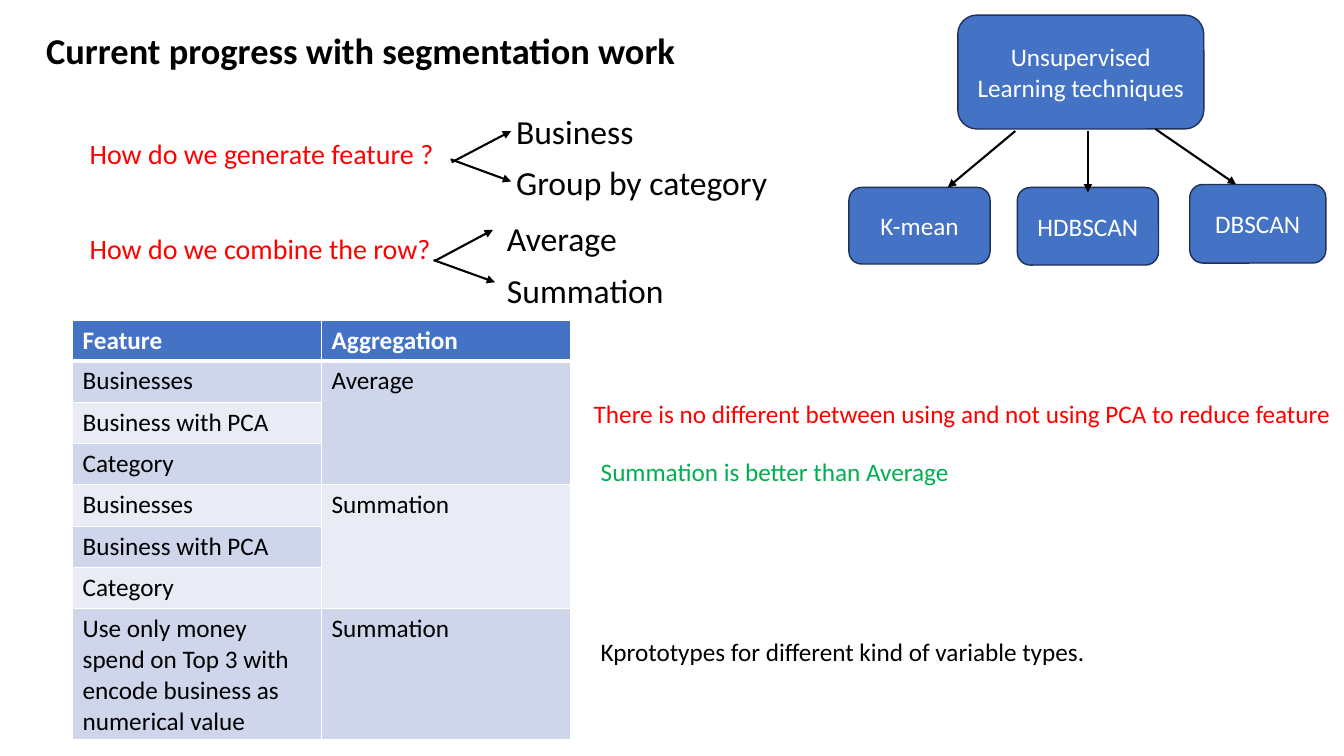
from pptx import Presentation
from pptx import util as u
from pptx.dml.color import RGBColor
from pptx.enum import shapes, text
from pptx.oxml import parse_xml
from pptx.oxml.ns import nsdecls

# Content: lengths in px, 100 px to the inch
SIZE = (1333, 750)
TITLE = ("Current progress with segmentation work", (36, 14, 1113, 77))
NOTES = [  # wording, box, size name, colour name
    ("How do we generate feature ?", (79, 131, 387, 44), "ask", "red"),
    ("How do we combine the row?", (79, 225, 387, 44), "ask", "red"),
    ("Business", (502, 105, 152, 50), "reply", "black"),
    ("Group by category", (502, 156, 325, 50), "reply", "black"),
    ("Average", (493, 211, 152, 50), "reply", "black"),
    ("Summation", (493, 263, 325, 50), "reply", "black"),
    ("There is no different between using and not using PCA to reduce feature",
     (579, 390, 758, 40), "body", "red"),
    ("Summation is better than Average", (586, 448, 423, 71), "body", "green"),
    ("Kprototypes for different kind of variable types.",
     (586, 626, 682, 40), "body", "black"),
]
NODES = [
    ("Unsupervised Learning techniques", (950, 15, 244, 113)),
    ("K-mean", (842, 186, 140, 76)),
    ("HDBSCAN", (1009, 186, 140, 77)),
    ("DBSCAN", (1180, 183, 135, 78)),
]
ARROWS = [  # from x, y to x, y
    (448, 161, 507, 130), (447, 158, 507, 180),
    (431, 259, 489, 228), (430, 258, 491, 280),
    (1007, 130, 940, 186), (1079, 130, 1079, 191), (1146, 128, 1226, 183),
]
HEADS = ("Feature", "Aggregation")
INPUTS = ("Businesses", "Business with PCA", "Category")
GROUPS = [
    (INPUTS, "Average"),
    (INPUTS, "Summation"),
    (("Use only money spend on Top 3 with encode business as numerical value",),
     "Summation"),
]
GRID = {"left": 72, "top": 318, "col": 247, "head": 40, "row": 41, "last": 128}

THEME = {
    "font": "Calibri",
    "title": 26, "ask": 20, "reply": 24, "body": 18,
    "black": "000000", "white": "FFFFFF", "red": "FF0000", "green": "00B050",
    "blue": "4472C4", "edge": "1E3256", "bands": ("CFD5EA", "E9EBF5"),
}


def px(n):
    return u.Emu(n * 9144)


def box(area):
    return [px(n) for n in area]


def color(name):
    return RGBColor.from_string(THEME.get(name, name))


def write(frame, words, size, tint, bold=False):
    frame.text = words
    for run in frame.paragraphs[0].runs:
        font = run.font
        font.name, font.size, font.bold = THEME["font"], u.Pt(THEME[size]), bold
        font.color.rgb = color(tint)


def label(words, area, size, tint, bold=False):
    frame = slide.shapes.add_textbox(*box(area)).text_frame
    frame.word_wrap = True
    write(frame, words, size, tint, bold)
    return frame


def node(words, area):
    shape = slide.shapes.add_shape(
        shapes.MSO_SHAPE.ROUNDED_RECTANGLE, *box(area))
    shape.shadow.inherit = False
    shape.fill.solid()
    shape.fill.fore_color.rgb = color("blue")
    shape.line.color.rgb = color("edge")
    shape.line.width = u.Pt(1)
    frame = shape.text_frame
    frame.word_wrap = True
    frame.vertical_anchor = text.MSO_ANCHOR.MIDDLE
    write(frame, words, "body", "white")
    frame.paragraphs[0].alignment = text.PP_ALIGN.CENTER


def arrow(ends):
    wire = slide.shapes.add_connector(shapes.MSO_CONNECTOR.STRAIGHT, *box(ends))
    wire.line.color.rgb = color("black")
    wire.line.width = u.Pt(1.5)
    wire.line._get_or_add_ln().append(
        parse_xml(f'<a:tailEnd {nsdecls("a")} type="triangle"/>'))
    wire._element.spPr.append(parse_xml(f'<a:effectLst {nsdecls("a")}/>'))


def paint(cell, fill, base=1):
    props = cell._tc.get_or_add_tcPr()
    for side, width in (("L", 1), ("R", 1), ("T", 1), ("B", base)):
        props.append(parse_xml(
            f'<a:ln{side} {nsdecls("a")} w="{u.Pt(width)}"><a:solidFill>'
            f'<a:srgbClr val="{THEME["white"]}"/></a:solidFill></a:ln{side}>'))
    cell.fill.solid()
    cell.fill.fore_color.rgb = color(fill)


deck = Presentation()
deck.slide_width, deck.slide_height = box(SIZE)
slide = deck.slides.add_slide(deck.slide_layouts[6])

# Title
head = label(*TITLE, "title", "black", True)
head.vertical_anchor = text.MSO_ANCHOR.MIDDLE
head.paragraphs[0].line_spacing = 0.9

# Table: each group shares one merged aggregation cell
count = sum(len(names) for names, _ in GROUPS)
tall = [GRID["head"]] + [GRID["row"]] * (count - 1) + [GRID["last"]]
area = (GRID["left"], GRID["top"], GRID["col"] * len(HEADS), sum(tall))
table = slide.shapes.add_table(len(tall), len(HEADS), *box(area)).table
for row, high in zip(table.rows, tall):
    row.height = px(high)
for col, words in enumerate(HEADS):
    table.columns[col].width = px(GRID["col"])
    cell = table.cell(0, col)
    write(cell.text_frame, words, "body", "white", True)
    paint(cell, "blue", 3)
top = 1
for names, total in GROUPS:
    for row, name in enumerate(names, top):
        write(table.cell(row, 0).text_frame, name, "body", "black")
        paint(table.cell(row, 0), THEME["bands"][(row - 1) % 2])
        paint(table.cell(row, 1), THEME["bands"][(top - 1) % 2])
    first = table.cell(top, 1)
    if len(names) > 1:
        first.merge(table.cell(top + len(names) - 1, 1))
    write(first.text_frame, total, "body", "black")
    top += len(names)

# Questions, replies and findings
for note in NOTES:
    label(*note)

# Technique tree and all arrows
for item in NODES:
    node(*item)
for ends in ARROWS:
    arrow(ends)

deck.save("out.pptx")
